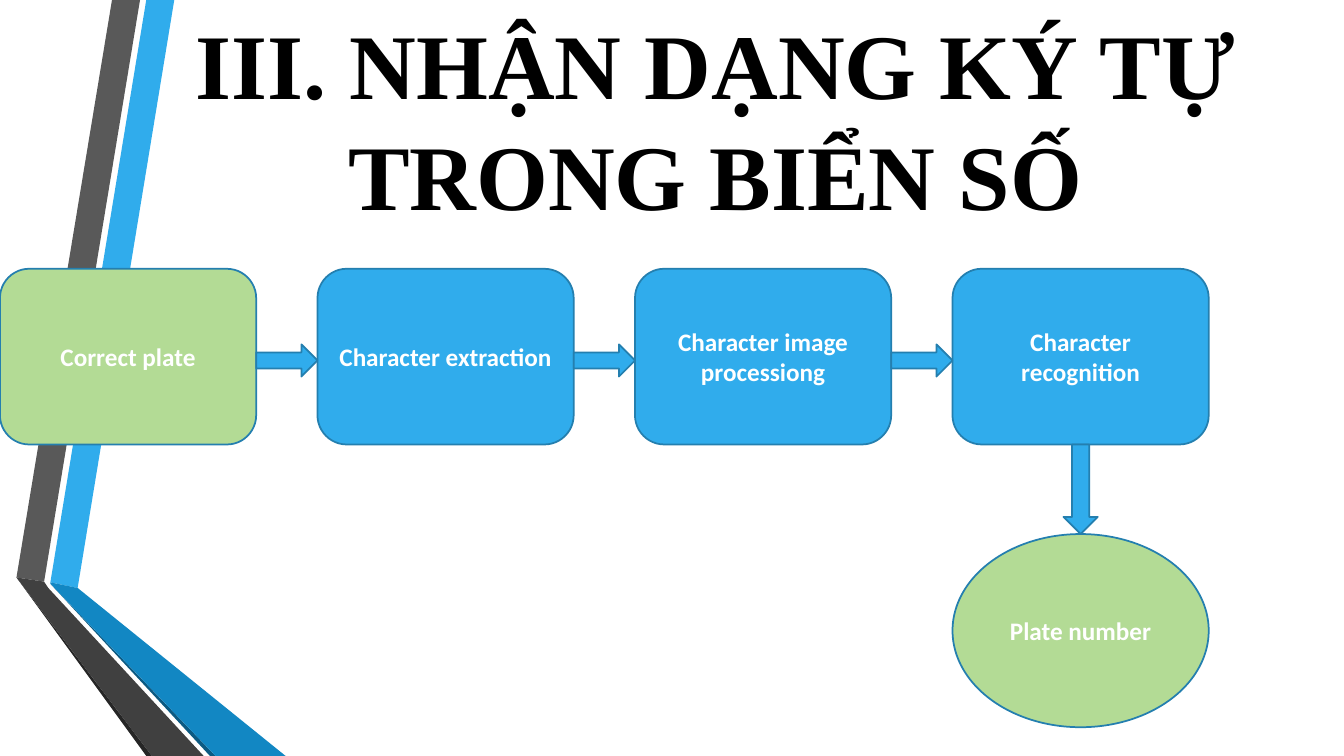
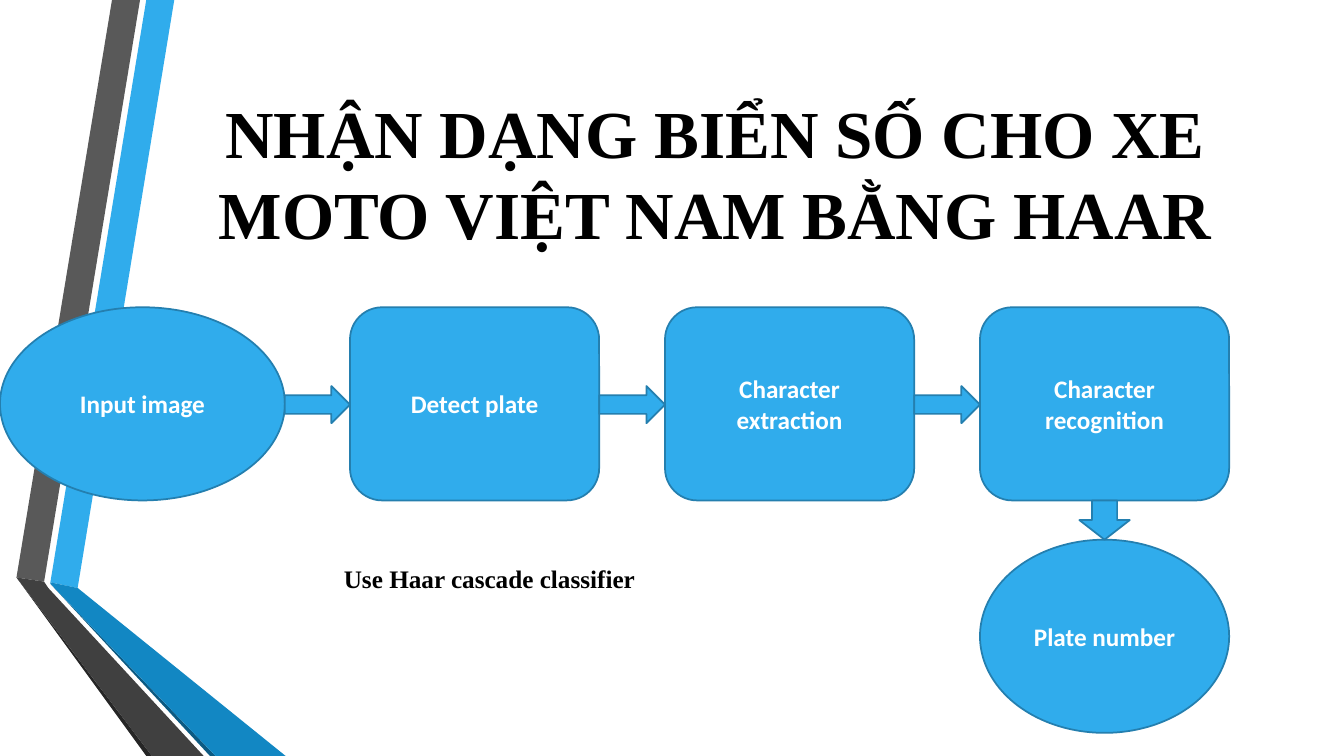
from pptx import Presentation
from pptx.dml.color import RGBColor
from pptx.enum.shapes import MSO_SHAPE as Preset
from pptx.enum.text import MSO_ANCHOR as Anchor, MSO_AUTO_SIZE as AutoSize, PP_ALIGN as Align
from pptx.util import Pt

BLUE, GREEN, OUTLINE = "30ACEC", "B3DB95", "247FAF"
BLACK, WHITE = "000000", "FFFFFF"
ROUNDED, OVAL = Preset.ROUNDED_RECTANGLE, Preset.OVAL

BANDS = [
    (BLUE, [(36, 416), (55.5, 420), (124.5, 0), (104.5, 0)]),
    ("595959", [(100, 0), (80, 0), (11.75, 412.5), (31.5, 415.5)]),
    ("262626", [(11.75, 412.5), (104.5, 540), (108.5, 540)]),
    ("0C5A82", [(36, 417), (150, 540), (154, 540)]),
    ("1287C3", [(36, 417), (154, 540), (204, 540), (55.5, 420), (36, 416)]),
    ("404040", [(145.5, 540), (34.5, 420), (31.5, 415.5), (11.75, 412.5), (108.5, 540)]),
]

FLOWS = [
    {
        "title": "III. NHẬN DẠNG KÝ TỰ TRONG BIỂN SỐ",
        "title_size": 66, "title_top": 0, "title_height": 168.5,
        "top": 192, "height": 125.5, "arrow_middle": 257.5, "arrow_height": 23,
        "steps": [
            ("Correct plate", ROUNDED, GREEN, 0, 183),
            ("Character extraction", ROUNDED, BLUE, 226.8, 183),
            ("Character image processiong", ROUNDED, BLUE, 453.6, 183),
            ("Character recognition", ROUNDED, BLUE, 680.4, 183),
        ],
        "result_top": 381.5, "result_fill": GREEN, "down_width": 24.5,
    },
    {
        "title": "NHẬN DẠNG BIỂN SỐ CHO XE MOTO VIỆT NAM BẰNG HAAR",
        "title_size": 48, "title_top": 54, "title_height": 138,
        "top": 219.5, "height": 138, "arrow_middle": 289, "arrow_height": 26.5,
        "steps": [
            ("Input image", OVAL, BLUE, 0, 203.5),
            ("Detect plate", ROUNDED, BLUE, 250, 178),
            ("Character extraction", ROUNDED, BLUE, 475, 178),
            ("Character recognition", ROUNDED, BLUE, 700, 178),
        ],
        "result_top": 385.5, "result_fill": BLUE, "down_width": 36,
        "note": "Use Haar cascade classifier",
    },
]


def color(value):
    return RGBColor.from_string(value)


def add_block(slide, preset, fill, left, top, width, height, label=""):
    block = slide.shapes.add_shape(preset, Pt(left), Pt(top), Pt(width), Pt(height))
    block.shadow.inherit = False
    block.fill.solid()
    block.fill.fore_color.rgb = color(fill)
    block.line.color.rgb = color(OUTLINE)
    block.line.width = Pt(1.25)
    if label:
        block.text_frame.text = label
        block.text_frame.word_wrap = True
        block.text_frame.vertical_anchor = Anchor.MIDDLE
        paragraph = block.text_frame.paragraphs[0]
        paragraph.alignment = Align.CENTER
        paragraph.font.name = "Calibri"
        paragraph.font.size = Pt(18)
        paragraph.font.bold = True
        paragraph.font.color.rgb = color(WHITE)


deck = Presentation()
deck.slide_width, deck.slide_height = Pt(960), Pt(540)
title_only = deck.slide_layouts[5]
slides = [deck.slides.add_slide(title_only) for flow in FLOWS]

for fill, corners in BANDS:
    points = [(Pt(x), Pt(y)) for x, y in corners]
    outline = slides[0].shapes.build_freeform(*points[0])
    outline.add_line_segments(points[1:], close=True)
    band = outline.convert_to_shape()
    band.shadow.inherit = False
    band.fill.solid()
    band.fill.fore_color.rgb = color(fill)
    band.line.fill.background()
    title_only.shapes.element.append(band.element)

for slide, flow in zip(slides, FLOWS):
    title = slide.shapes.title
    title.left, title.width = Pt(116.5), Pt(789)
    title.top, title.height = Pt(flow["title_top"]), Pt(flow["title_height"])
    title.text_frame.text = flow["title"]
    title.text_frame.auto_size = AutoSize.NONE
    title.text_frame.vertical_anchor = Anchor.MIDDLE
    heading = title.text_frame.paragraphs[0]
    heading.alignment = Align.CENTER
    heading.font.name = "Times New Roman"
    heading.font.size = Pt(flow["title_size"])
    heading.font.bold = True
    heading.font.color.rgb = color(BLACK)

    steps, top, height = flow["steps"], flow["top"], flow["height"]
    for label, preset, fill, left, width in steps:
        add_block(slide, preset, fill, left, top, width, height, label)

    arrow_top = flow["arrow_middle"] - flow["arrow_height"] / 2
    for (*_, left, width), (*_, next_left, _) in zip(steps, steps[1:]):
        start = left + width
        add_block(slide, Preset.RIGHT_ARROW, BLUE, start, arrow_top,
                  next_left - start, flow["arrow_height"])

    *_, left, width = steps[-1]
    bottom, result_top, down_width = top + height, flow["result_top"], flow["down_width"]
    add_block(slide, OVAL, flow["result_fill"], left, result_top, width, 138, "Plate number")
    add_block(slide, Preset.DOWN_ARROW, BLUE, left + (width - down_width) / 2, bottom,
              down_width, result_top - bottom)

    if "note" in flow:
        note = slide.shapes.add_textbox(Pt(238.5), Pt(399), Pt(225.5), Pt(29))
        note.text_frame.text = flow["note"]
        note.text_frame.word_wrap = True
        remark = note.text_frame.paragraphs[0]
        remark.font.name = "Times New Roman"
        remark.font.size = Pt(18)
        remark.font.bold = True
        remark.font.color.rgb = color(BLACK)

deck.save("out.pptx")
